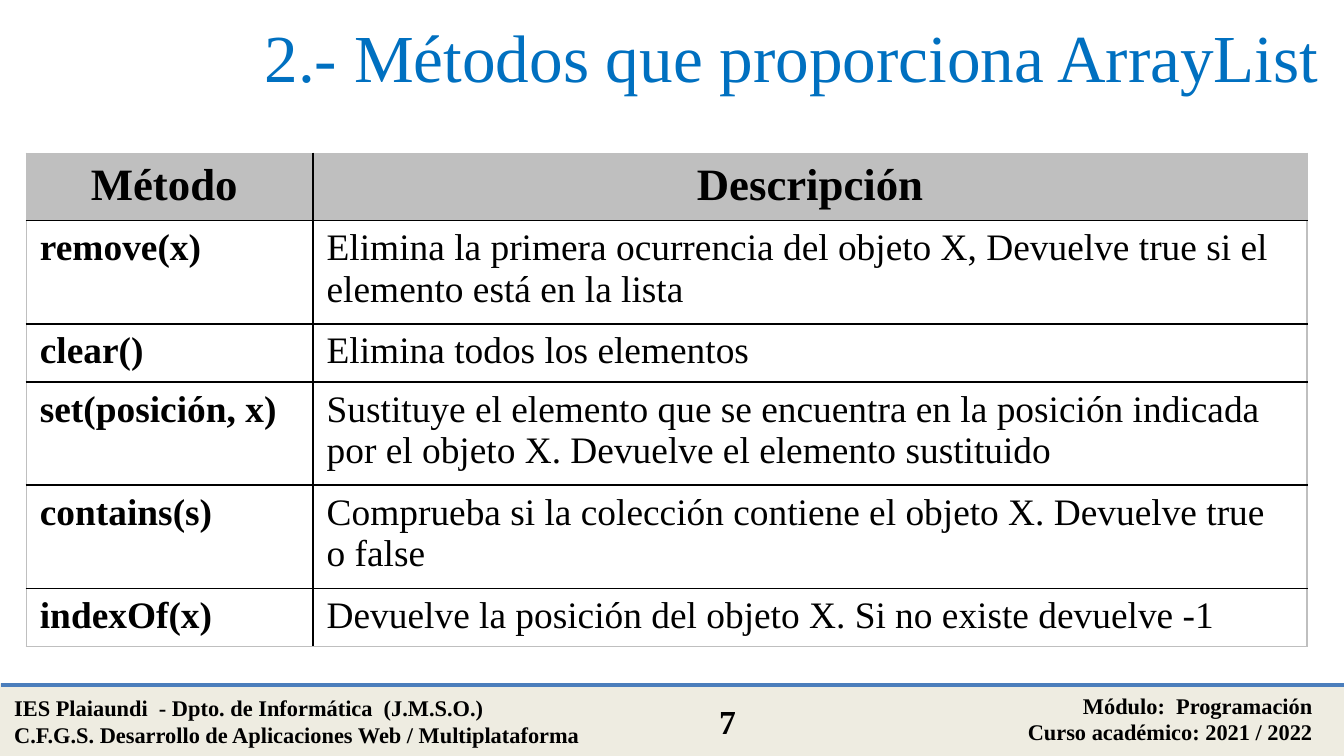
import pptx
import pptx.dml.color
import pptx.enum.shapes
import pptx.enum.text
import pptx.oxml
import pptx.oxml.ns
import pptx.util

Cm = pptx.util.Cm
Pt = pptx.util.Pt
Align = pptx.enum.text.PP_ALIGN
Anchor = pptx.enum.text.MSO_ANCHOR

FONT = "Times New Roman"
COLOURS = {
    "text": "000000",
    "title": "0070C0",
    "band": "EEECE1",
    "rule": "4B7EBC",
    "header": "BFBFBF",
    "body": "FFFFFF",
    "grid": "000000",
    "frame": "BFBFBF",
}
METHODS = [
    ("Método ", "Descripción"),
    ("remove(x)", "Elimina la primera ocurrencia del objeto X, Devuelve true si el elemento está en la lista"),
    ("clear()", "Elimina todos los elementos"),
    ("set(posición, x)", "Sustituye el elemento que se encuentra en la posición indicada por el objeto X. "
                         "Devuelve el elemento sustituido"),
    ("contains(s)", "Comprueba si la colección contiene el objeto X. Devuelve true o false"),
    ("indexOf(x)", "Devuelve la posición del objeto X. Si no existe devuelve -1"),
]
ROW_HEIGHT = 1.03
NAME_WIDTH = 5.42


def colour(name):
    return pptx.dml.color.RGBColor.from_string(COLOURS[name])


def write_text(frame, text, size=12, bold=False, ink="text", align=Align.LEFT):
    frame.word_wrap = True
    for index, line in enumerate(text.split("\n")):
        para = frame.paragraphs[0] if index == 0 else frame.add_paragraph()
        para.alignment = align
        span = para.add_run()
        span.text = line
        span.font.name = FONT
        span.font.size = Pt(size)
        span.font.bold = bold
        span.font.color.rgb = colour(ink)


def place(shape, left, top, width, height):
    shape.left, shape.top = Cm(left), Cm(top)
    shape.width, shape.height = Cm(width), Cm(height)


def set_borders(cell, sides):
    properties = cell._tc.get_or_add_tcPr()
    for index, (side, ink) in enumerate(sides.items()):
        border = pptx.oxml.parse_xml(
            f'<a:{side} {pptx.oxml.ns.nsdecls("a")} w="{Pt(1)}"><a:solidFill>'
            f'<a:srgbClr val="{COLOURS[ink]}"/></a:solidFill></a:{side}>'
        )
        properties.insert(index, border)


def add_title(page, left, top, width, height):
    title = page.shapes.title
    place(title, left, top, width, height)
    title.text_frame.vertical_anchor = Anchor.MIDDLE
    write_text(title.text_frame, "2.- Métodos que proporciona ArrayList",
               size=36, ink="title", align=Align.RIGHT)


def add_method_table(page, left, top, width, height):
    column_widths = [NAME_WIDTH, width - NAME_WIDTH]
    rows, columns = len(METHODS), len(column_widths)
    frame = page.shapes.add_table(rows, columns, Cm(left), Cm(top), Cm(width), Cm(height))
    table = frame.table
    table.first_row = table.horz_banding = False
    for column, column_width in zip(table.columns, column_widths):
        column.width = Cm(column_width)
    for r, texts in enumerate(METHODS):
        table.rows[r].height = Cm(ROW_HEIGHT)
        header = r == 0
        for c, text in enumerate(texts):
            cell = table.cell(r, c)
            cell.fill.solid()
            cell.fill.fore_color.rgb = colour("header" if header else "body")
            write_text(cell.text_frame, text, size=24 if header else 20,
                       bold=header or c == 0, align=Align.CENTER if header else Align.LEFT)
            set_borders(cell, {
                "lnL": "frame" if c == 0 else "grid",
                "lnR": "frame" if c == columns - 1 else "grid",
                "lnT": "frame" if header else "grid",
                "lnB": "frame" if r == rows - 1 else "grid",
            })
    frame.height = Cm(height)


def add_footer(page, left, top, width, height):
    shapes = page.shapes.add_group_shape().shapes
    band = shapes.add_shape(pptx.enum.shapes.MSO_SHAPE.RECTANGLE,
                            Cm(left), Cm(top), Cm(width), Cm(height))
    band.shadow.inherit = False
    band.fill.solid()
    band.fill.fore_color.rgb = band.line.color.rgb = colour("band")
    band.line.width = Pt(2)

    rule = shapes.add_connector(pptx.enum.shapes.MSO_CONNECTOR.STRAIGHT,
                                Cm(left), Cm(top), Cm(left + width), Cm(top))
    rule.line.color.rgb = colour("rule")
    rule.line.width = Pt(2)
    rule._element.spPr.append(pptx.oxml.parse_xml(f'<a:effectLst {pptx.oxml.ns.nsdecls("a")}/>'))

    labels = [
        ("IES Plaiaundi  - Dpto. de Informática  (J.M.S.O.)\n"
         "C.F.G.S. Desarrollo de Aplicaciones Web / Multiplataforma",
         0, 0.04, 11.84, 1.28, 12, Align.LEFT),
        ("Módulo:  Programación\nCurso académico: 2021 / 2022",
         14.88, 0, 10.16, 1.28, 12, Align.RIGHT),
        ("7", 12.7, 0.18, 2.06, 1.03, 18, Align.CENTER),
    ]
    for text, x, y, label_width, label_height, size, align in labels:
        box = shapes.add_textbox(Cm(left + x), Cm(top + y), Cm(label_width), Cm(label_height))
        write_text(box.text_frame, text, size=size, bold=True, align=align)


def main():
    deck = pptx.Presentation()
    deck.slide_width, deck.slide_height = Cm(25.4), Cm(14.29)
    page = deck.slides.add_slide(deck.slide_layouts[5])
    add_footer(page, left=0.02, top=12.95, width=25.4, height=1.32)
    add_title(page, left=0.03, top=0, width=25.15, height=2.12)
    add_method_table(page, left=0.5, top=2.9, width=24.2, height=9.32)
    deck.save("out.pptx")


if __name__ == "__main__":
    main()
